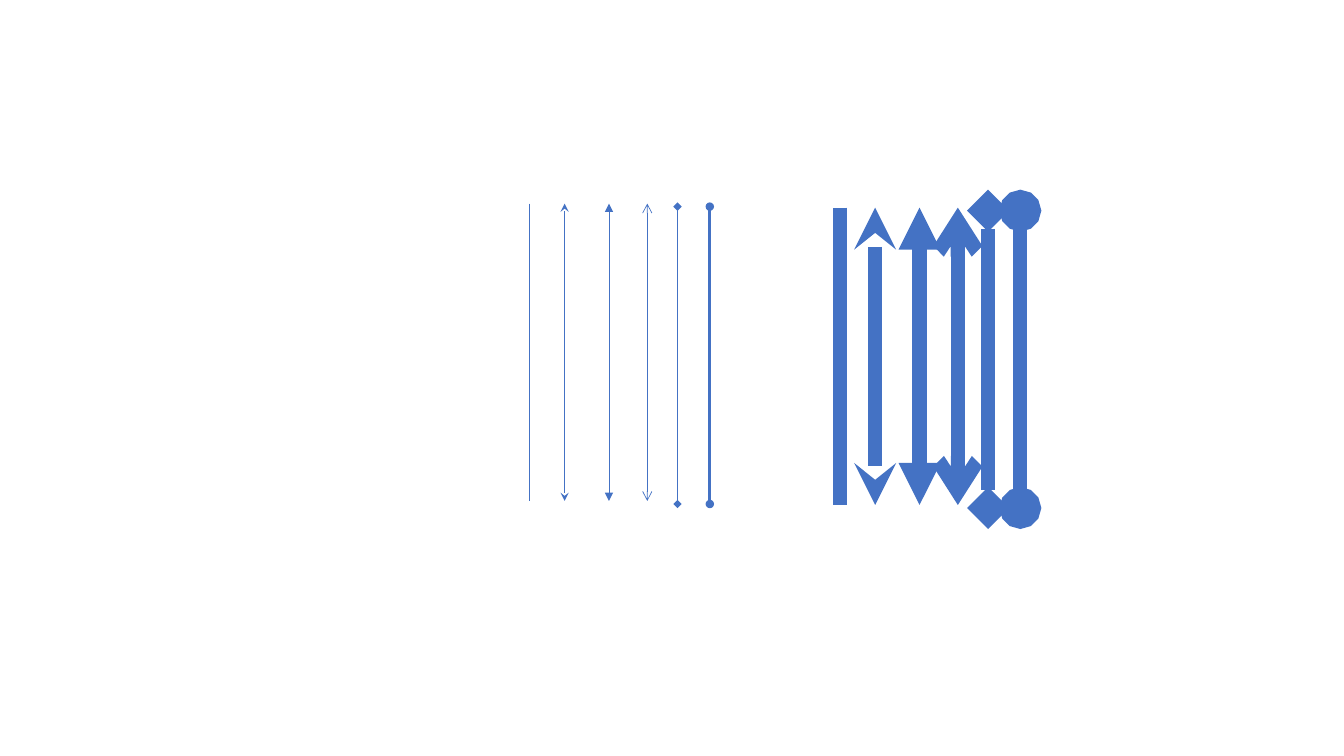
from lxml.etree import SubElement
from pptx import Presentation
from pptx.dml.color import RGBColor
from pptx.enum.shapes import MSO_CONNECTOR as Connector
from pptx.oxml.ns import qn
from pptx.util import Inches, Pt

BLUE = "4472C4"
LINE_HEIGHT = 2.95
ARROW_STYLES = [
    (0, 0, None),
    (0.35, 0, "stealth"),
    (0.79, 0, "triangle"),
    (1.17, 0, "arrow"),
    (1.47, 0.03, "diamond"),
    (1.79, 0.03, "oval"),
]


def color(hex_code):
    return RGBColor.from_string(hex_code)


def add_arrow(slide, x, top, bottom, weight, tip):
    arrow = slide.shapes.add_connector(
        Connector.STRAIGHT, Inches(x), Inches(top), Inches(x), Inches(bottom)
    )
    arrow.line.color.rgb = color(BLUE)
    arrow.line.width = Pt(weight)
    if tip:
        outline = arrow.line._get_or_add_ln()
        for end in ("a:headEnd", "a:tailEnd"):
            SubElement(outline, qn(end), type=tip)
    SubElement(arrow._element.spPr, qn("a:effectLst"))


def add_arrow_group(slide, left, top, height, weights):
    for (offset, drop, tip), weight in zip(ARROW_STYLES, weights):
        start = top + drop
        add_arrow(slide, left + offset, start, start + height, weight, tip)


def main():
    deck = Presentation()
    deck.slide_width = Inches(13.33)
    deck.slide_height = Inches(7.5)
    slide = deck.slides.add_slide(deck.slide_layouts[6])
    add_arrow_group(slide, 5.25, 2.02, LINE_HEIGHT, [0.5] * 5 + [2])
    add_arrow_group(slide, 8.33, 2.06, LINE_HEIGHT, [10] * 6)
    deck.save("out.pptx")


if __name__ == "__main__":
    main()
